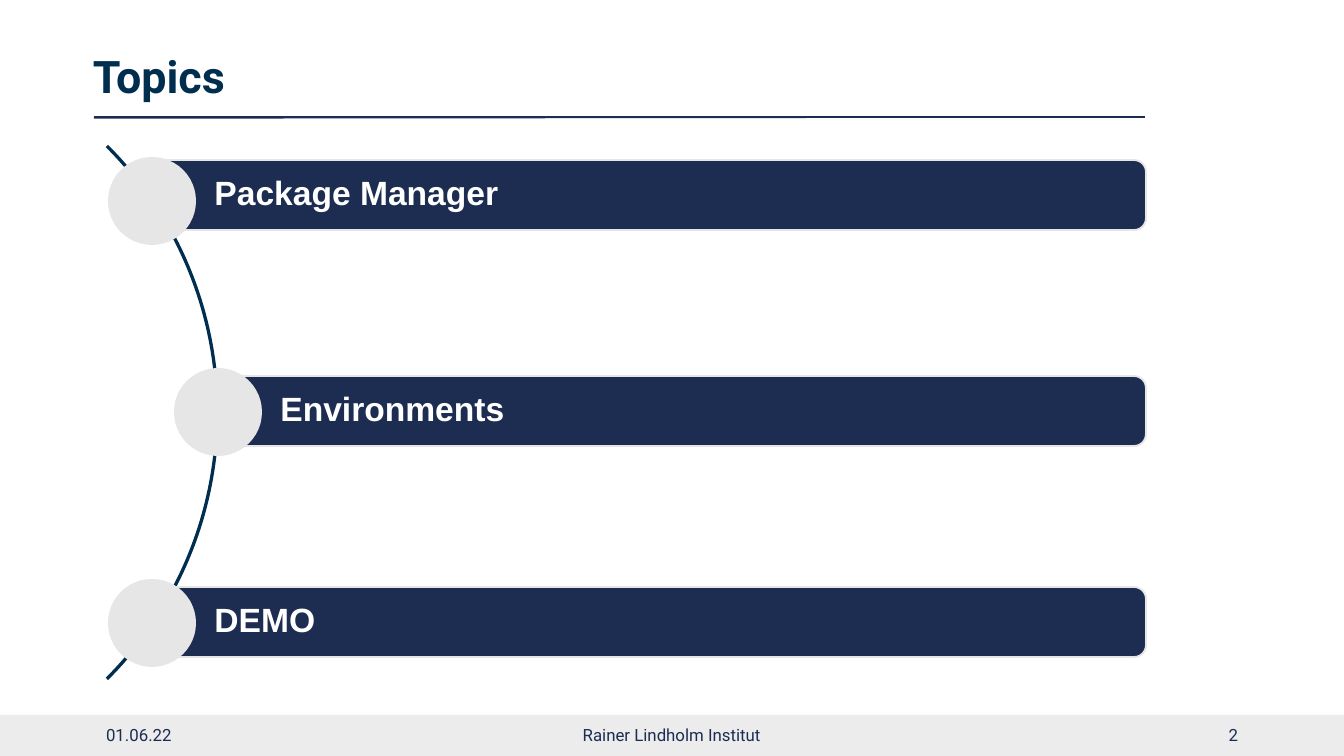
from dataclasses import dataclass

from lxml import etree
from pptx import Presentation
from pptx import util as u
from pptx.dml.color import RGBColor
from pptx.enum import shapes, text
from pptx.oxml import ns

EMU_PER_PX = 914400 / 134.4


def px(length):
    return u.Emu(round(length * EMU_PER_PX))


@dataclass(frozen=True)
class Theme:
    navy: str = "1C2D51"
    deep_blue: str = "002E4F"
    arc_blue: str = "002E50"
    grey: str = "E7E6E6"
    footer_grey: str = "ECECEC"
    white: str = "FFFFFF"
    heading_font: str = "Roboto"
    topic_font: str = "Arial"
    title_size: int = 24
    topic_size: int = 18
    footer_size: int = 9


def write_text(shape, words, *, font, size, color, bold=False,
               align=text.PP_ALIGN.LEFT, insets=(13, 7, 13, 7),
               line_spacing=None, space_after=None):
    frame = shape.text_frame
    frame.word_wrap = True
    frame.vertical_anchor = text.MSO_ANCHOR.MIDDLE
    (frame.margin_left, frame.margin_top,
     frame.margin_right, frame.margin_bottom) = map(px, insets)
    paragraph = frame.paragraphs[0]
    paragraph.alignment = align
    paragraph.line_spacing = line_spacing
    if space_after is not None:
        paragraph.space_after = u.Pt(space_after)
    run = paragraph.add_run()
    run.text = words
    run.font.name = font
    run.font.size = u.Pt(size)
    run.font.bold = bold
    run.font.color.rgb = RGBColor.from_string(color)


class SlideBuilder:
    def __init__(self, slide, theme):
        self.slide = slide
        self.theme = theme

    def add_shape(self, kind, left, top, width, height, fill,
                  line=None, adjustments=()):
        shape = self.slide.shapes.add_shape(
            kind, px(left), px(top), px(width), px(height))
        shape.shadow.inherit = False
        shape.fill.solid()
        shape.fill.fore_color.rgb = RGBColor.from_string(fill)
        if line:
            shape.line.color.rgb = RGBColor.from_string(line)
            shape.line.width = u.Pt(1)
        else:
            shape.line.fill.background()
        for index, value in enumerate(adjustments):
            shape.adjustments[index] = value
        return shape

    def add_line(self, x1, y1, x2, y2):
        line = self.slide.shapes.add_connector(
            shapes.MSO_CONNECTOR.STRAIGHT, px(x1), px(y1), px(x2), px(y2))
        line.line.color.rgb = RGBColor.from_string(self.theme.navy)
        line.line.width = u.Pt(0.75)
        properties = line._element.find(ns.qn("p:spPr"))
        etree.SubElement(properties, ns.qn("a:effectLst"))

    def add_text(self, words, left, top, width, height, **style):
        box = self.slide.shapes.add_textbox(
            px(left), px(top), px(width), px(height))
        write_text(box, words, **style)

    def add_topic(self, words, left, top, bar_offset):
        theme = self.theme
        diameter, bar_right = 88, 1146
        bar_left = left + diameter // 2
        bar = self.add_shape(
            shapes.MSO_SHAPE.ROUNDED_RECTANGLE, bar_left, top + bar_offset,
            bar_right - bar_left, 70, theme.navy,
            line=theme.grey, adjustments=(0.17,))
        write_text(bar, words, font=theme.topic_font, size=theme.topic_size,
                   color=theme.white, bold=True, insets=(59, 11, 7, 11),
                   line_spacing=0.9, space_after=6.3)
        self.add_shape(shapes.MSO_SHAPE.OVAL, left, top,
                       diameter, diameter, theme.grey)


def main():
    theme = Theme()
    presentation = Presentation()
    presentation.slide_width = px(1344)
    presentation.slide_height = px(756)
    slide = presentation.slides.add_slide(presentation.slide_layouts[6])
    builder = SlideBuilder(slide, theme)

    # Footer band and title rule
    builder.add_shape(shapes.MSO_SHAPE.RECTANGLE, 0, 715, 1344, 41,
                      theme.footer_grey)
    for start_y in (118, 117):
        builder.add_line(94, start_y, 1145, 117)

    # Title
    builder.add_text("Topics", 93, 40, 1161, 77, font=theme.heading_font,
                     size=theme.title_size, color=theme.deep_blue, bold=True,
                     insets=(0, 7, 13, 7), line_spacing=0.9)

    # Footer texts
    for words, left, width, align in (
            ("01.06.22", 93, 302, text.PP_ALIGN.LEFT),
            ("Rainer Lindholm Institut", 445, 453, text.PP_ALIGN.CENTER),
            ("2", 949, 302, text.PP_ALIGN.RIGHT)):
        builder.add_text(words, left, 715, width, 40, align=align,
                         font=theme.heading_font, size=theme.footer_size,
                         color=theme.navy)

    # Arc with the topics along it; angles are in 100000ths of 1/60000 degree
    builder.add_shape(shapes.MSO_SHAPE.BLOCK_ARC, -538, 34, 757, 757,
                      theme.arc_blue, adjustments=(189, 27, 0.0044))
    topics = (("Package Manager", 108, 3),
              ("Environments", 174, 8),
              ("DEMO", 108, 8))
    for index, (words, left, bar_offset) in enumerate(topics):
        builder.add_topic(words, left, 157 + 211 * index, bar_offset)

    presentation.save("out.pptx")


if __name__ == "__main__":
    main()
